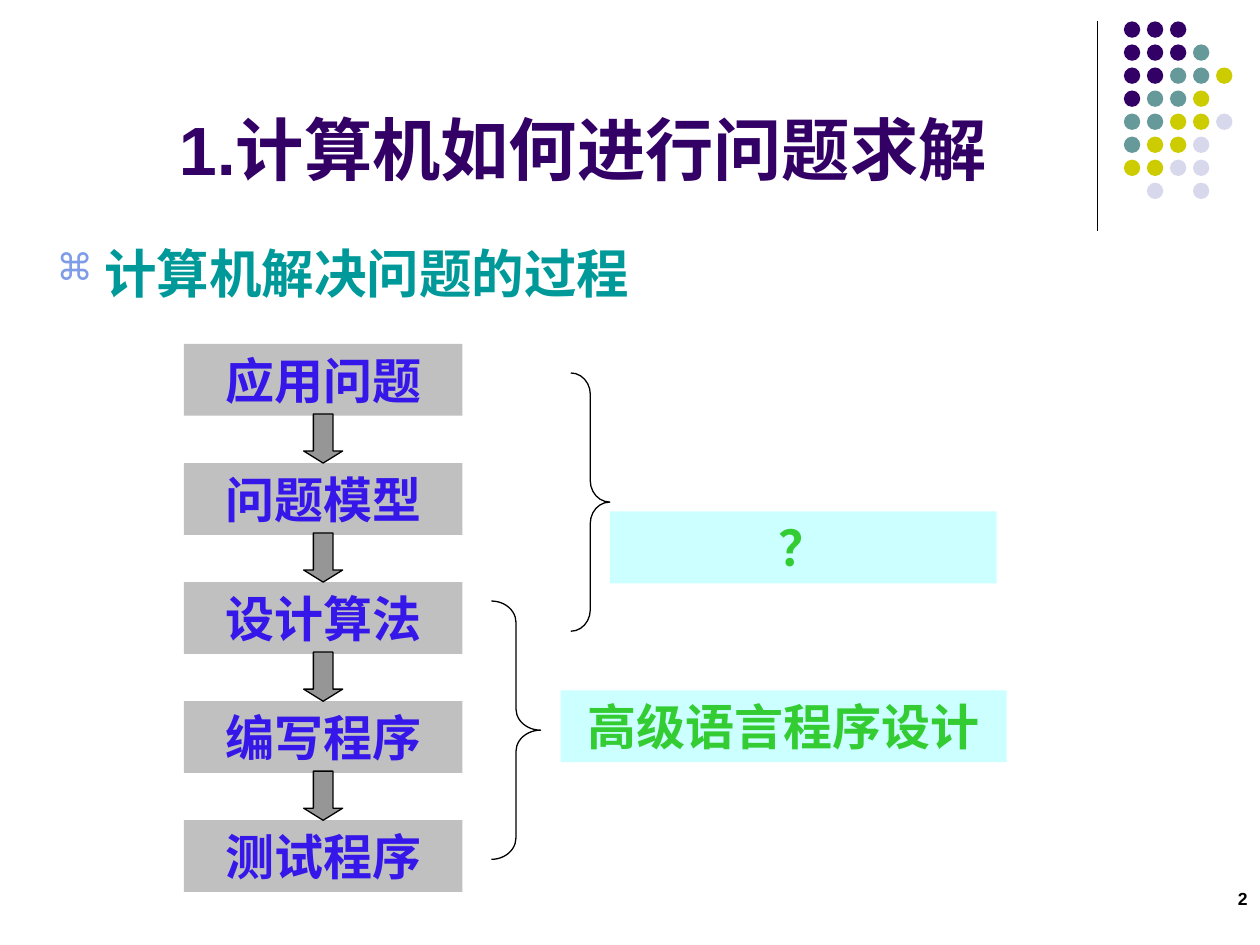
from typing import NamedTuple

from lxml import etree
from pptx import Presentation
from pptx.dml.color import RGBColor
from pptx.enum.shapes import MSO_CONNECTOR, MSO_SHAPE
from pptx.enum.text import MSO_ANCHOR, MSO_AUTO_SIZE, PP_ALIGN
from pptx.oxml.ns import qn
from pptx.util import Inches, Pt

RECTANGLE, OVAL = MSO_SHAPE.RECTANGLE, MSO_SHAPE.OVAL
DOWN_ARROW, RIGHT_BRACE = MSO_SHAPE.DOWN_ARROW, MSO_SHAPE.RIGHT_BRACE
STRAIGHT = MSO_CONNECTOR.STRAIGHT
TOP, BOTTOM = MSO_ANCHOR.TOP, MSO_ANCHOR.BOTTOM
LEFT, CENTER, RIGHT = PP_ALIGN.LEFT, PP_ALIGN.CENTER, PP_ALIGN.RIGHT
FIT_SHAPE = MSO_AUTO_SIZE.SHAPE_TO_FIT_TEXT

BLACK = RGBColor(0x00, 0x00, 0x00)
PURPLE = RGBColor(0x33, 0x00, 0x66)
SLATE = RGBColor(0x66, 0x99, 0x99)
OLIVE = RGBColor(0xCC, 0xCC, 0x00)
LAVENDER = RGBColor(0xD8, 0xD8, 0xEC)
TEAL = RGBColor(0x00, 0x99, 0x99)
BULLET_BLUE = RGBColor(0x7E, 0x9C, 0xE8)
SILVER = RGBColor(0xC0, 0xC0, 0xC0)
GRAY = RGBColor(0x96, 0x96, 0x96)
BLUE = RGBColor(0x35, 0x17, 0xE9)
AQUA = RGBColor(0xCC, 0xFF, 0xFF)
GREEN = RGBColor(0x33, 0xCC, 0x33)

DOT_COLORS = {"P": PURPLE, "S": SLATE, "O": OLIVE, "L": LAVENDER}
DOT_ROWS = ("PPP", "PPPS", "PPSSO", "PSSO", "SSOOL", "SOOL", "OOLL", " L L")
DOT_LEFT, DOT_TOP, DOT_SIZE = 8.92, 0.17, 0.13
DOT_PITCH = 1.28 / 7

STEPS = ("应用问题", "问题模型", "设计算法", "编写程序", "测试程序")
STEP_LEFT, STEP_TOP, STEP_WIDTH = 1.46, 2.73, 2.21
STEP_PITCH = 3.78 / 4
BOX_HEIGHT = 0.57
ARROW_WIDTH, ARROW_HEIGHT = 0.31, 0.39
BRACE_HEIGHT, BRACE_CURVE = 2.05, 0.17


class Area(NamedTuple):
    """Left, top, width and height in inches."""
    left: float
    top: float
    width: float
    height: float


class TextStyle(NamedTuple):
    font: str
    size: float
    color: RGBColor
    alignment: PP_ALIGN
    anchor: MSO_ANCHOR = TOP


class Stage(NamedTuple):
    """A brace over some steps and the label that names them."""
    brace: Area
    label: Area
    text: str


STAGES = (
    Stage(Area(3.9, 4.77, 0.39, BRACE_HEIGHT), Area(4.45, 5.48, 3.54, BOX_HEIGHT), "高级语言程序设计"),
    Stage(Area(4.53, 2.96, 0.31, BRACE_HEIGHT), Area(4.84, 4.06, 3.07, BOX_HEIGHT), "？"),
)
STEP_STYLE = TextStyle("Times New Roman", 28, BLUE, CENTER)
LABEL_STYLE = STEP_STYLE._replace(color=GREEN)
TITLE_STYLE = TextStyle("Arial", 39, PURPLE, CENTER, BOTTOM)
BODY_STYLE = TextStyle("Arial", 30, TEAL, LEFT)
NUMBER_STYLE = TextStyle("Arial", 10, BLACK, RIGHT)


def inches(area: Area) -> list:
    return [Inches(value) for value in area]


def write(shape, text: str, style: TextStyle):
    frame = shape.text_frame
    frame.word_wrap = True
    frame.vertical_anchor = style.anchor
    paragraph = frame.paragraphs[0]
    paragraph.text = text
    paragraph.alignment = style.alignment
    font = paragraph.font
    font.name, font.size, font.bold = style.font, Pt(style.size), True
    font.color.rgb = style.color


def add_text(slide, area: Area, text: str, style: TextStyle):
    box = slide.shapes.add_textbox(*inches(area))
    write(box, text, style)
    return box


def add_preset(slide, kind, area: Area, fill=None, line=None):
    shape = slide.shapes.add_shape(kind, *inches(area))
    shape.shadow.inherit = False
    if fill is None:
        shape.fill.background()
    else:
        shape.fill.solid()
        shape.fill.fore_color.rgb = fill
    if line is None:
        shape.line.fill.background()
    else:
        shape.line.color.rgb = line
        shape.line.width = Pt(0.75)
    return shape


def add_label(slide, area: Area, text: str, fill: RGBColor, style: TextStyle):
    shape = add_preset(slide, RECTANGLE, area, fill)
    write(shape, text, style)
    shape.text_frame.auto_size = FIT_SHAPE


def add_bullet(paragraph, character: str, color: RGBColor, percent: int, indent: float):
    properties = paragraph._p.get_or_add_pPr()
    properties.set("marL", str(Inches(indent)))
    properties.set("indent", str(-Inches(indent)))
    bullet_color = etree.Element(qn("a:buClr"))
    etree.SubElement(bullet_color, qn("a:srgbClr"), val=str(color))
    bullet_size = etree.Element(qn("a:buSzPct"), val=str(percent * 1000))
    bullet_character = etree.Element(qn("a:buChar"), char=character)
    for position, element in enumerate((bullet_color, bullet_size, bullet_character)):
        properties.insert(position, element)


def add_dot_pattern(slide):
    for row, letters in enumerate(DOT_ROWS):
        for column, letter in enumerate(letters):
            if letter in DOT_COLORS:
                area = Area(DOT_LEFT + column * DOT_PITCH, DOT_TOP + row * DOT_PITCH,
                            DOT_SIZE, DOT_SIZE)
                add_preset(slide, OVAL, area, DOT_COLORS[letter])


def add_divider(slide):
    divider = slide.shapes.add_connector(
        STRAIGHT, Inches(8.71), Inches(0.17), Inches(8.71), Inches(1.83))
    divider.line.color.rgb = BLACK
    divider.line.width = Pt(0.75)
    etree.SubElement(divider._element.spPr, qn("a:effectLst"))


def add_steps(slide):
    for row, text in enumerate(STEPS):
        area = Area(STEP_LEFT, STEP_TOP + row * STEP_PITCH, STEP_WIDTH, BOX_HEIGHT)
        add_label(slide, area, text, SILVER, STEP_STYLE)
    arrow_left = STEP_LEFT + (STEP_WIDTH - ARROW_WIDTH) / 2
    for row in range(1, len(STEPS)):
        arrow_top = STEP_TOP + row * STEP_PITCH - ARROW_HEIGHT
        area = Area(arrow_left, arrow_top, ARROW_WIDTH, ARROW_HEIGHT)
        arrow = add_preset(slide, DOWN_ARROW, area, GRAY, BLACK)
        arrow.adjustments[1] = 0.31


def add_stage(slide, stage: Stage):
    brace = add_preset(slide, RIGHT_BRACE, stage.brace, line=BLACK)
    brace.adjustments[0] = BRACE_CURVE / stage.brace.width
    add_label(slide, stage.label, stage.text, AQUA, LABEL_STYLE)


def main():
    presentation = Presentation()
    presentation.slide_width, presentation.slide_height = Inches(10), Inches(7.5)
    slide = presentation.slides.add_slide(presentation.slide_layouts[6])
    add_divider(slide)
    add_dot_pattern(slide)
    add_text(slide, Area(9.41, 7, 0.59, 0.5), "2", NUMBER_STYLE)
    add_text(slide, Area(0.5, 0.52, 8.25, 1.03), "1.计算机如何进行问题求解", TITLE_STYLE)
    body = add_text(slide, Area(0.35, 1.86, 8.43, 1.65), "计算机解决问题的过程", BODY_STYLE)
    add_bullet(body.text_frame.paragraphs[0], "⌘", BULLET_BLUE, 70, 0.38)
    add_steps(slide)
    for stage in STAGES:
        add_stage(slide, stage)
    presentation.save("out.pptx")


if __name__ == "__main__":
    main()
